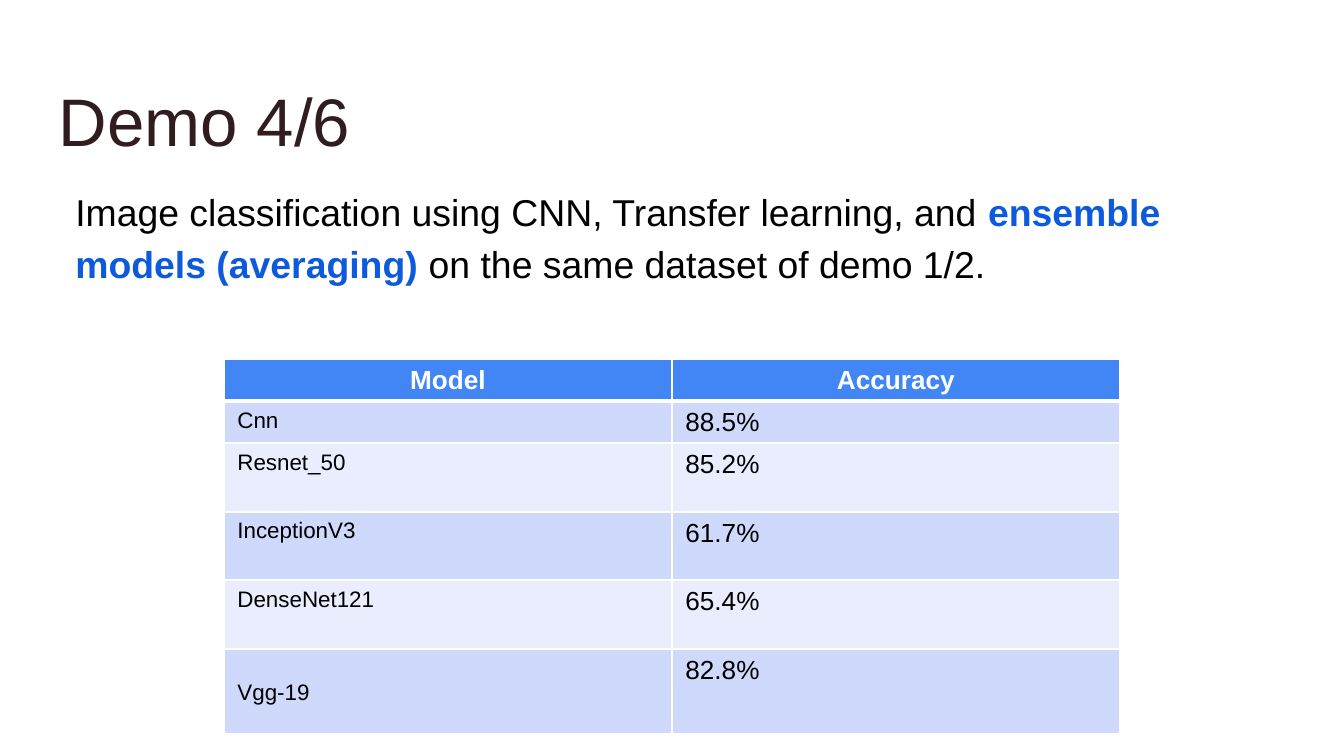
from pptx import Presentation
from pptx.dml.color import RGBColor
from pptx.enum.text import MSO_ANCHOR, PP_ALIGN
from pptx.oxml import parse_xml
from pptx.oxml.ns import nsdecls
from pptx.util import Inches, Pt

MIDDLE = MSO_ANCHOR.MIDDLE
TOP = MSO_ANCHOR.TOP
CENTER = PP_ALIGN.CENTER
LEFT = PP_ALIGN.LEFT

WIDTH = 10
HEIGHT = WIDTH * 9 / 16
MARGIN = 0.34
FONT = "Arial"
WHITE, BLACK = "FFFFFF", "000000"
HEADER_FILL = "4285F4"
BAND_FILLS = ["CFD9FB", "E9EDFD"]

HEADINGS = ["Model", "Accuracy"]
RESULTS = [
    ("Cnn", "88.5%"),
    ("Resnet_50", "85.2%"),
    ("InceptionV3", "61.7%"),
    ("DenseNet121", "65.4%"),
    ("Vgg-19", "82.8%"),
]
ROW_HEIGHTS = [0.31, 0.31, 0.51, 0.51, 0.51, 0.63]
SUMMARY = [
    ("Image classification using CNN, Transfer learning, and ", BLACK, False),
    ("ensemble models (averaging) ", "0D5BDC", True),
    ("on the same dataset of demo 1/2.", BLACK, False),
]


def color(value):
    return RGBColor.from_string(value)


def style(font, size, value, bold=False):
    font.name = FONT
    font.size = Pt(size)
    font.color.rgb = color(value)
    font.bold = bold


def add_text_frame(page, box):
    frame = page.shapes.add_textbox(*map(Inches, box)).text_frame
    frame.word_wrap = True
    frame.vertical_anchor = TOP
    frame.margin_left = frame.margin_right = Inches(0.1)
    frame.margin_top = frame.margin_bottom = Inches(0.1)
    return frame


def add_title(page, box):
    para = add_text_frame(page, box).paragraphs[0]
    para.text = "Demo 4/6"
    style(para.font, 36, "311C20")


def add_summary(page, box):
    frame = add_text_frame(page, box)
    frame.margin_left = Inches(0.22)
    para = frame.paragraphs[0]
    para.line_spacing = 1.15
    for text, value, bold in SUMMARY:
        span = para.add_run()
        span.text = text
        style(span.font, 20, value, bold)


def set_borders(cell, bottom):
    """Draw white cell edges; widths are in points."""
    properties = cell._tc.get_or_add_tcPr()
    edges = [("lnL", 1), ("lnR", 1), ("lnT", 1), ("lnB", bottom)]
    for position, (tag, width) in enumerate(edges):
        properties.insert(position, parse_xml(
            f'<a:{tag} {nsdecls("a")} w="{Pt(width)}"><a:solidFill>'
            f'<a:srgbClr val="{WHITE}"/></a:solidFill></a:{tag}>'))


def fill_cell(cell, text, fill, size, value=BLACK, header=False):
    cell.fill.solid()
    cell.fill.fore_color.rgb = color(fill)
    cell.margin_bottom = Inches(0.03)
    set_borders(cell, 3 if header else 1)
    para = cell.text_frame.paragraphs[0]
    para.text = text
    para.alignment = CENTER if header else LEFT
    style(para.font, size, value, header)


def add_results(page, box):
    table = page.shapes.add_table(
        len(ROW_HEIGHTS), len(HEADINGS), *map(Inches, box)).table
    for column in table.columns:
        column.width = Inches(box[2] / len(HEADINGS))
    for row, height in zip(table.rows, ROW_HEIGHTS):
        row.height = Inches(height)
    for column, heading in enumerate(HEADINGS):
        fill_cell(table.cell(0, column), heading, HEADER_FILL, 14, WHITE, True)
    for row, (model, accuracy) in enumerate(RESULTS, 1):
        fill = BAND_FILLS[(row - 1) % 2]
        fill_cell(table.cell(row, 0), model, fill, 12)
        fill_cell(table.cell(row, 1), accuracy, fill, 14)
    table.cell(len(RESULTS), 0).vertical_anchor = MIDDLE


def main():
    deck = Presentation()
    deck.slide_width, deck.slide_height = Inches(WIDTH), Inches(HEIGHT)
    page = deck.slides.add_slide(deck.slide_layouts[6])
    content_width = WIDTH - 2 * MARGIN
    add_title(page, (MARGIN, 0.49, content_width, 0.63))
    add_summary(page, (MARGIN, 1.26, content_width, 3.74))
    table_width = WIDTH * 2 / 3
    add_results(page, ((WIDTH - table_width) / 2, 2.67,
                       table_width, sum(ROW_HEIGHTS)))
    deck.save("out.pptx")


if __name__ == "__main__":
    main()
